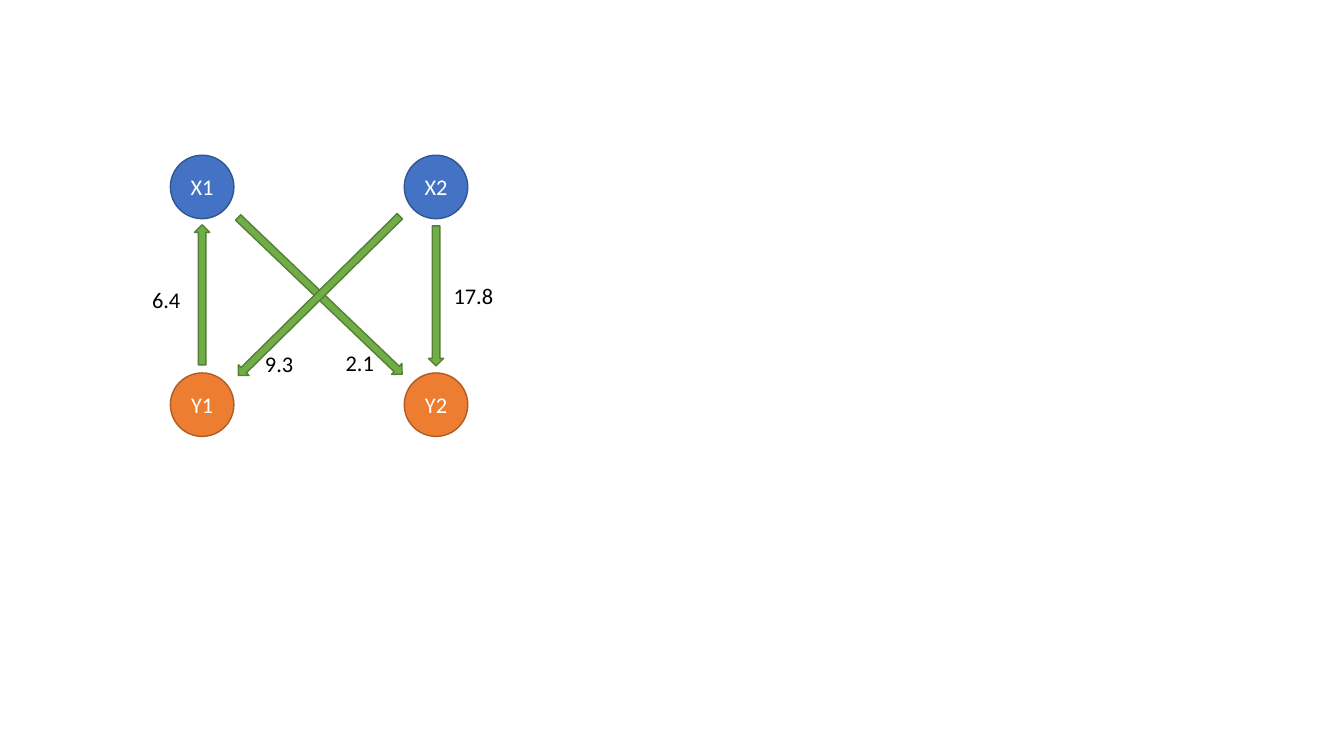
import pptx
import pptx.util
import pptx.dml.color
import pptx.enum.shapes
import pptx.enum.text

Inches = pptx.util.Inches
COLORS = {
    "x_fill": "4472C4", "x_line": "325491",
    "y_fill": "ED7D31", "y_line": "AF5C24",
    "arrow_fill": "70AD47", "arrow_line": "538035",
    "white": "FFFFFF", "black": "000000",
}


def color(name):
    return pptx.dml.color.RGBColor.from_string(COLORS[name])


def write_text(shape, text, font_color="black", align="LEFT", anchor="TOP", wrap=True):
    frame = shape.text_frame
    frame.word_wrap = wrap
    frame.vertical_anchor = getattr(pptx.enum.text.MSO_ANCHOR, anchor)
    para = frame.paragraphs[0]
    para.alignment = getattr(pptx.enum.text.PP_ALIGN, align)
    span = para.add_run()
    span.text = text
    span.font.name = "Calibri"
    span.font.size = pptx.util.Pt(16)
    span.font.color.rgb = color(font_color)


deck = pptx.Presentation()
deck.slide_width = Inches(13.33)
deck.slide_height = Inches(7.5)
page = deck.slides.add_slide(deck.slide_layouts[6])

columns = [1.69, 4.01]
rows = [("X", 1.54, "x"), ("Y", 3.7, "y")]
node_size = 0.63
node_shapes = []
for letter, top, family in rows:
    for number, left in enumerate(columns, 1):
        node = page.shapes.add_shape(
            pptx.enum.shapes.MSO_SHAPE.OVAL,
            Inches(left), Inches(top), Inches(node_size), Inches(node_size))
        write_text(node, f"{letter}{number}", font_color="white",
                   align="CENTER", anchor="MIDDLE", wrap=False)
        node_shapes.append((node, family))

arrow_width = 0.15
links = [
    (1.93, 2.23, 1.39, 180, "6.4", 1.41, 2.79),
    (3.1, 1.81, 2.25, 313.7, "2.1", 3.33, 3.41),
    (3.09, 1.81, 2.25, 45.4, "9.3", 2.53, 3.42),
    (4.25, 2.24, 1.39, 0, "17.8", 4.4, 2.75),
]
for left, top, length, angle, weight, label_left, label_top in links:
    arrow = page.shapes.add_shape(
        pptx.enum.shapes.MSO_SHAPE.DOWN_ARROW,
        Inches(left), Inches(top), Inches(arrow_width), Inches(length))
    arrow.rotation = angle
    node_shapes.append((arrow, "arrow"))
    label = page.shapes.add_textbox(
        Inches(label_left), Inches(label_top), Inches(0.67), Inches(0.37))
    write_text(label, weight)

for shape, family in node_shapes:
    shape.shadow.inherit = False
    shape.fill.solid()
    shape.fill.fore_color.rgb = color(f"{family}_fill")
    shape.line.color.rgb = color(f"{family}_line")
    shape.line.width = pptx.util.Pt(1)

deck.save("out.pptx")
